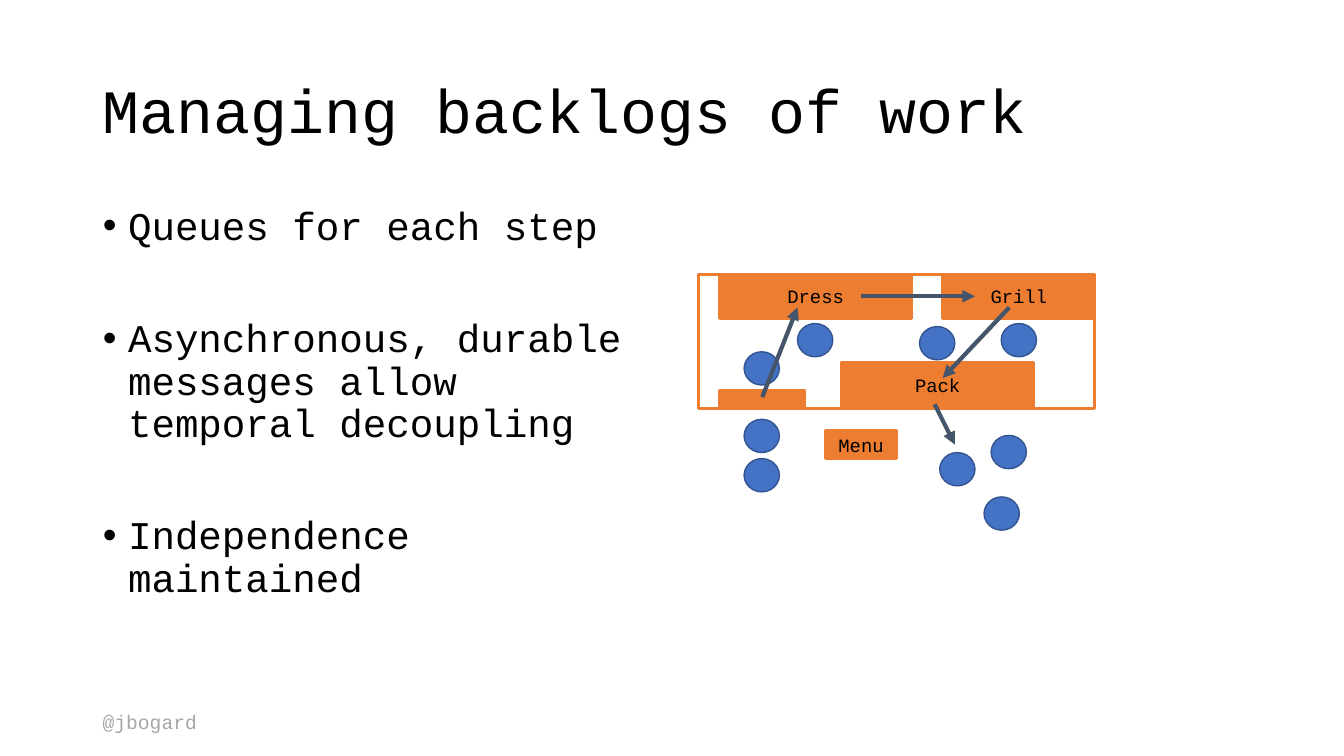
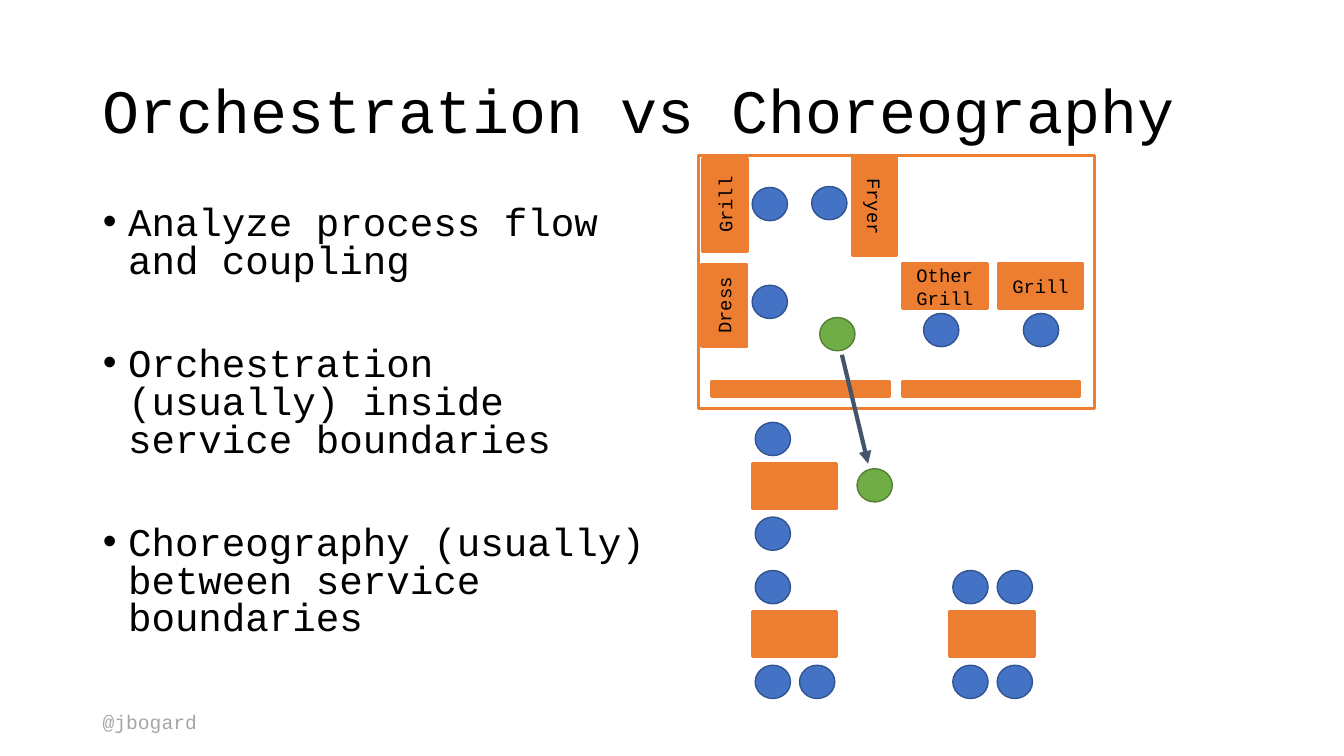
from dataclasses import dataclass

from lxml import etree
from pptx import Presentation, util as u
from pptx.dml.color import RGBColor
from pptx.enum import shapes, text
from pptx.oxml.ns import qn


@dataclass(frozen=True)
class Theme:
    font: str = "Courier New"
    ink: str = "000000"
    mute: str = "A6A6A6"
    paper: str = "FFFFFF"
    wood: str = "ED7D31"
    arrow: str = "44546A"
    guest: tuple = ("4472C4", "325491")
    waiter: tuple = ("70AD47", "538035")
    title: float = 44
    body: float = 28
    label: float = 13.5
    foot: float = 14
    edge: float = 2.25
    rim: float = 1
    stroke: float = 3


@dataclass(frozen=True)
class Box:
    x: float
    y: float
    w: float
    h: float

    def sub(self, x, y, w, h):
        """Return a box offset from the top left corner of this one."""
        return Box(self.x + x, self.y + y, w, h)

    def size(self):
        return [u.Inches(n) for n in (self.x, self.y, self.w, self.h)]


T = Theme()
HEAD = Box(0.92, 0.4, 11.5, 1.45)
FOOT = Box(0.92, 6.99, 1.46, 0.34)
DEPTH = 0.44
DISC = (0.35, 0.33)


def rgb(code):
    return RGBColor.from_string(code)


def style(para, size, color=T.ink):
    for run in para.runs:
        run.font.name = T.font
        run.font.size = u.Pt(size)
        run.font.color.rgb = rgb(color)


def place(shape, box):
    shape.left, shape.top, shape.width, shape.height = box.size()


def bullet(para):
    props = para._p.get_or_add_pPr()
    props.set("marL", str(u.Inches(0.25)))
    props.set("indent", str(-u.Inches(0.25)))
    etree.SubElement(props, qn("a:buFont")).set("typeface", "Arial")
    etree.SubElement(props, qn("a:buChar")).set("char", "•")


def heading(slide, words, box):
    shape = slide.shapes.title
    place(shape, box)
    frame = shape.text_frame
    frame.text = words
    frame.auto_size = text.MSO_AUTO_SIZE.NONE
    frame.vertical_anchor = text.MSO_ANCHOR.MIDDLE
    para = frame.paragraphs[0]
    para.alignment = text.PP_ALIGN.LEFT
    para.line_spacing = 0.9
    style(para, T.title)


def points(slide, items, box, lead, gap):
    """Fill the body list; lead is the line spacing, gap the points between items."""
    shape = slide.placeholders[1]
    place(shape, box)
    frame = shape.text_frame
    frame.text = "\n".join(items)
    frame.auto_size = text.MSO_AUTO_SIZE.NONE
    for i, para in enumerate(frame.paragraphs):
        bullet(para)
        para.line_spacing = lead
        para.space_before = u.Pt(gap if i else 0)
        style(para, T.body)


def footer(slide, box):
    frame = slide.shapes.add_textbox(*box.size()).text_frame
    frame.word_wrap = True
    frame.text = "@jbogard"
    style(frame.paragraphs[0], T.foot, T.mute)


def solid(slide, kind, box, fill, line, width):
    shape = slide.shapes.add_shape(kind, *box.size())
    shape.shadow.inherit = False
    shape.fill.solid()
    shape.fill.fore_color.rgb = rgb(fill)
    shape.line.color.rgb = rgb(line)
    shape.line.width = u.Pt(width)
    return shape


def block(slide, box, label="", turn=0, fill=T.wood):
    shape = solid(slide, shapes.MSO_SHAPE.RECTANGLE, box, fill, T.wood, T.edge)
    shape.rotation = turn
    if label:
        frame = shape.text_frame
        frame.text = label
        frame.word_wrap = True
        frame.vertical_anchor = text.MSO_ANCHOR.MIDDLE
        frame.paragraphs[0].alignment = text.PP_ALIGN.CENTER
        style(frame.paragraphs[0], T.label)


def people(slide, box, spots, tone=T.guest):
    for x, y in spots:
        solid(slide, shapes.MSO_SHAPE.OVAL, box.sub(x, y, *DISC), *tone, T.rim)


def arrow(slide, box, x1, y1, x2, y2):
    ends = [u.Inches(n) for n in (box.x + x1, box.y + y1, box.x + x2, box.y + y2)]
    line = slide.shapes.add_connector(shapes.MSO_CONNECTOR.STRAIGHT, *ends)
    line.line.color.rgb = rgb(T.arrow)
    line.line.width = u.Pt(T.stroke)
    props = line._element.spPr
    etree.SubElement(props.find(qn("a:ln")), qn("a:tailEnd")).set("type", "triangle")
    etree.SubElement(props, qn("a:effectLst"))


def table(slide, box, above, below):
    """Draw a dining table with the given number of seats on each side."""
    block(slide, box)
    for count, y in ((above, -0.41), (below, 0.53)):
        people(slide, box, [(0.03 + 0.44 * i, y) for i in range(count)])


def counter(slide, box):
    """Draw the fast food line, from order to pick-up."""
    block(slide, box, fill=T.paper)
    for label, *spot in (
        ("", 0.21, 1.16, 0.84, 0.17),
        ("Dress", 0.21, 0, 1.9, DEPTH),
        ("Pack", 1.42, 0.88, 1.9, DEPTH),
        ("Grill", 2.42, 0, 1.51, DEPTH),
        ("Menu", 1.26, 1.55, 0.7, 0.28),
    ):
        block(slide, box.sub(*spot), label)
    people(slide, box, [
        (0.45, 0.77), (0.45, 1.44), (0.45, 1.83),
        (0.98, 0.49), (2.19, 0.52), (3, 0.49),
        (2.9, 1.6), (2.39, 1.77), (2.83, 2.21),
    ])
    for ends in (
        (0.63, 1.22, 0.98, 0.33),
        (1.61, 0.22, 2.74, 0.22),
        (3.08, 0.33, 2.42, 1.03),
        (2.34, 1.29, 2.54, 1.69),
    ):
        arrow(slide, box, *ends)


def diner(slide, box):
    """Draw the restaurant kitchen with the dining tables below it."""
    block(slide, box, fill=T.paper)
    for x in (0.13, 2.02):
        block(slide, box.sub(x, 2.25, 1.76, 0.14))
    for label, x, y, wide, turn in (
        ("Grill", -0.2, 0.27, 0.92, 270),
        ("Dress", -0.16, 1.27, 0.82, 270),
        ("Fryer", 1.26, 0.29, 0.97, 90),
        ("Other Grill", 2.02, 1.08, 0.84, 0),
        ("Grill", 2.97, 1.08, 0.84, 0),
    ):
        block(slide, box.sub(x, y, wide, DEPTH), label, turn)
    people(slide, box, [
        (0.53, 0.32), (0.53, 1.29), (1.12, 0.31), (2.23, 1.57), (3.22, 1.57),
    ])
    for x, y, above, below in ((0.53, 3.06, 1, 1), (0.53, 4.53, 1, 2), (2.49, 4.53, 2, 2)):
        table(slide, box.sub(x, y, 0.84, DEPTH), above, below)
    people(slide, box, [(1.2, 1.61), (1.57, 3.11)], T.waiter)
    arrow(slide, box, 1.42, 1.98, 1.68, 3.06)


def page(deck, title, items, box, lead, gap):
    slide = deck.slides.add_slide(deck.slide_layouts[1])
    footer(slide, FOOT)
    heading(slide, title, HEAD)
    points(slide, items, box, lead, gap)
    return slide


def main():
    deck = Presentation()
    deck.slide_width, deck.slide_height = u.Inches(13.33), u.Inches(7.5)

    slide = page(deck, "Managing backlogs of work", [
        "Queues for each step",
        "Asynchronous, durable messages allow temporal decoupling",
        "Independence maintained",
    ], Box(0.92, 2, 5.67, 4.76), 0.9, 50)
    counter(slide, Box(6.93, 2.72, 3.93, 1.33))

    slide = page(deck, "Orchestration vs Choreography", [
        "Analyze process flow and coupling",
        "Orchestration (usually) inside service boundaries",
        "Choreography (usually) between service boundaries",
    ], Box(0.92, 2, 5.75, 4.76), 0.8, 47)
    diner(slide, Box(6.93, 1.54, 3.93, 2.51))

    deck.save("out.pptx")


if __name__ == "__main__":
    main()
